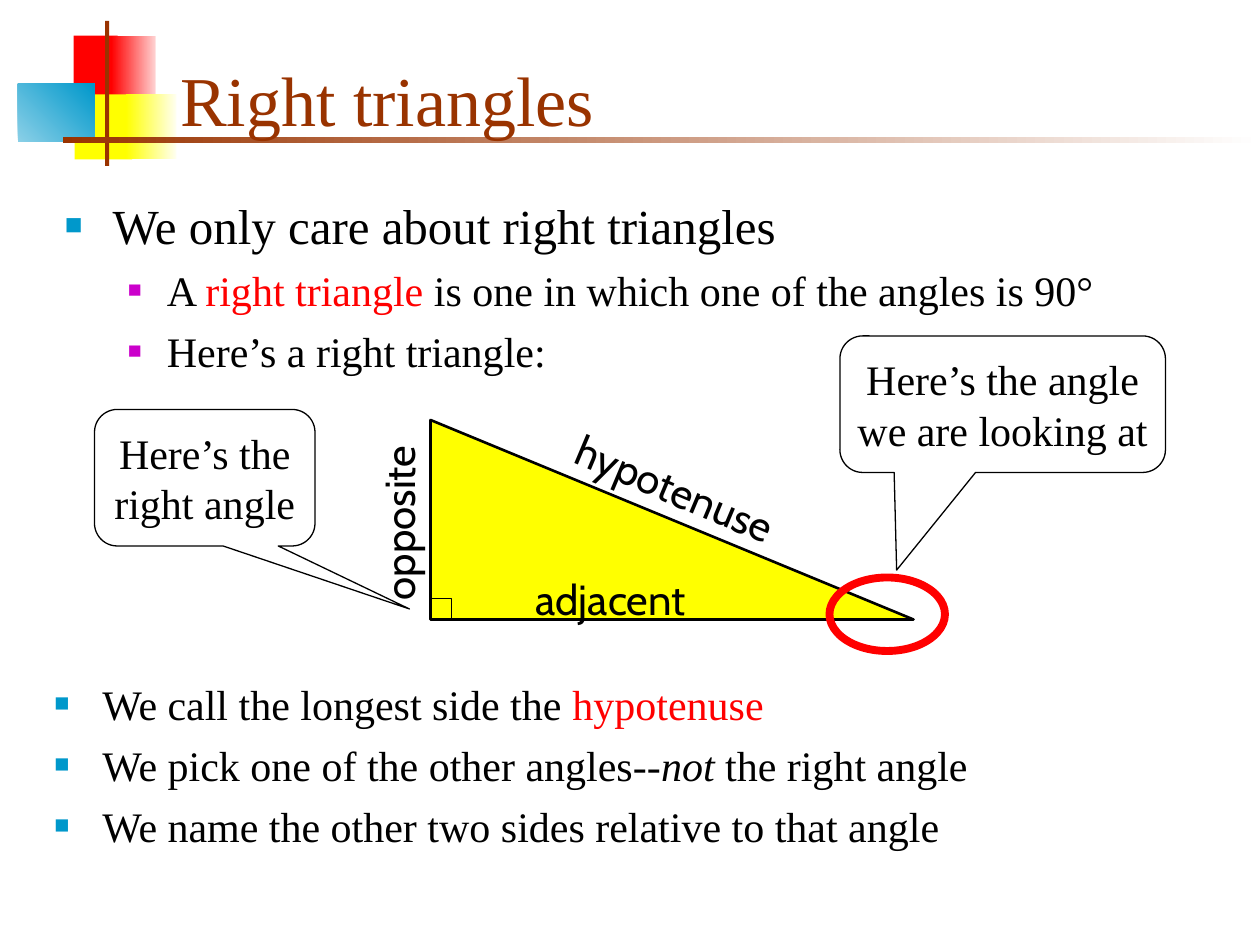
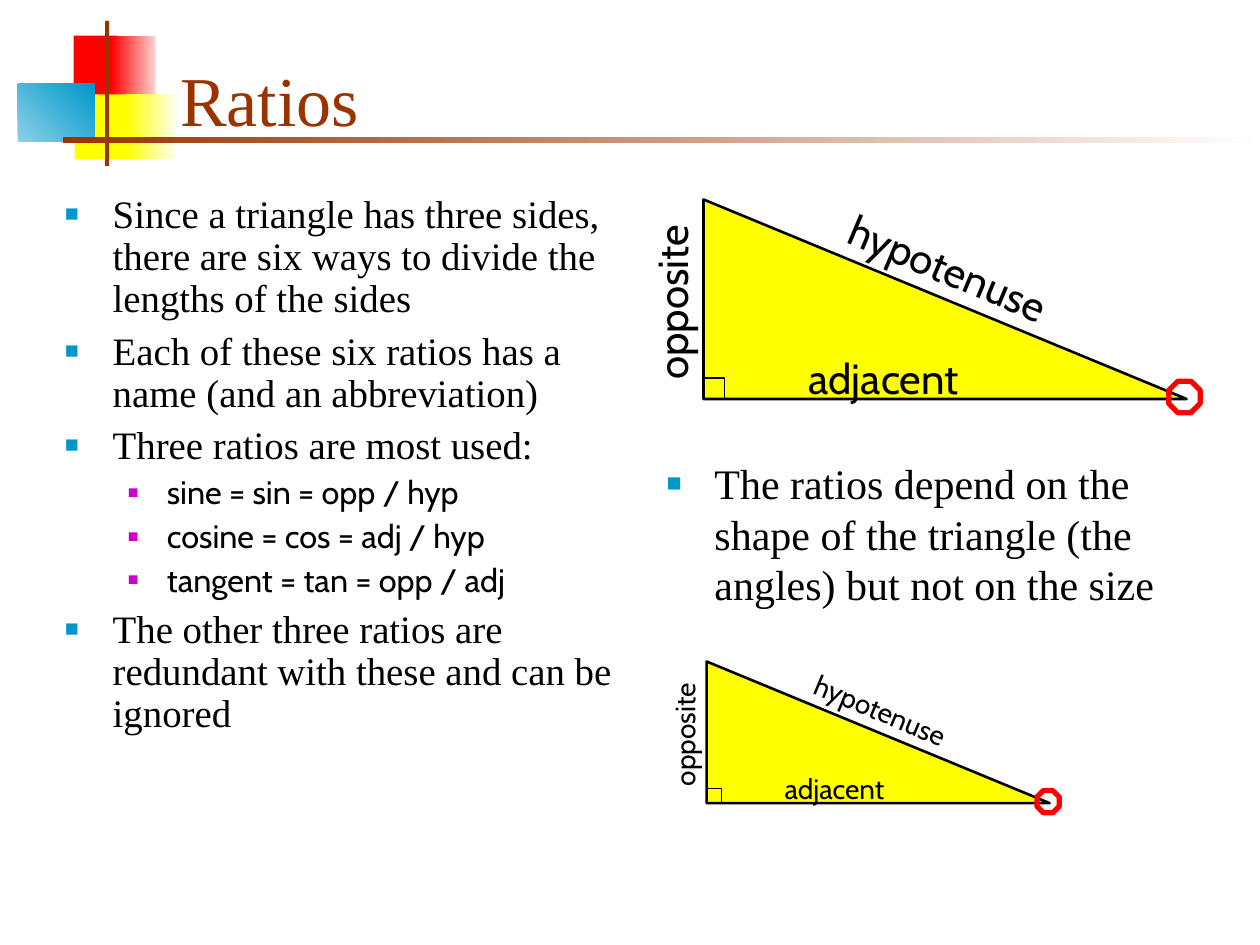
from lxml import etree
from pptx import Presentation
from pptx import util as u
from pptx.dml.color import RGBColor
from pptx.enum import shapes, text
from pptx.oxml.ns import qn

# All lengths are in grid units of 1/12 inch.
UNIT = u.Inches(1) / 12
SLIDE_SIZE = (120, 90)
SERIF, SANS = "Times New Roman", "Cabin"
COLORS = {
    "black": "000000", "white": "FFFFFF", "brown": "993300", "red": "FF0000",
    "pink": "FFD1D1", "yellow": "FFFF00", "cream": "FFFFF0",
    "blue": "0098CB", "sky": "8BD0E7", "magenta": "CB00CB",
}

# box, fill colour(s), gradient angle
EMBLEM = [
    ((7, 3.4, 4.2, 6.2), ("red",), 0),
    ((10.6, 3.4, 4.2, 6.2), ("red", "pink"), 0),
    ((7.1, 9, 5.5, 6.2), ("yellow",), 0),
    ((12, 9, 4.8, 6.2), ("yellow", "cream"), 0),
    ((1.7, 8, 7.3, 5.5), ("sky", "blue"), 45),
    ((10, 2, 0.4, 13.8), ("brown",), 0),
    ((6, 13, 114, 0.6), ("brown", "white"), 0),
]
TITLE_BOX = (16, 3, 102.2, 11)

# Bullet levels: left margin and hanging indent in inches, marker colour and size
LEVELS = [
    {"margin": 0.38, "hang": 0.38, "color": "blue", "percent": 60},
    {"margin": 0.81, "hang": 0.31, "color": "magenta", "percent": 55},
]

# Triangle parts, measured from its top left corner
TRIANGLE_SIZE = (46, 19)
RIGHT_ANGLE = (0, 17, 2, 2)
ANGLE_MARK = (44.3, 17.3, 3, 3)
SIDES = [
    ("hypotenuse", (11.4, 1.1, 23.8, 10.8), 22.9),
    ("adjacent", (7.9, 14, 18.5, 6), 0),
    ("opposite", (-12.4, 6.8, 18.8, 6), 270),
]

# Each bullet: level, size, space before, font, runs of (text, style)
RATIO = (1, 18.5, 5, SANS)
POINT = (0, 22.2, 6, SERIF)
DETAIL = (1, 24, 6, SERIF)
REMARK = (0, 24, 6, SERIF)
SLIDES = [
    {
        "title": "Right triangles",
        "bodies": [
            ((5, 18, 109, 20), 1, [
                ((0, 28, 7, SERIF), [("We only care about right triangles", "")]),
                (DETAIL, [("A ", ""), ("right triangle", "key"),
                          (" is one in which one of the angles is 90°", "")]),
                (DETAIL, [("Here’s a right triangle:", "")]),
            ]),
            ((4, 64, 112.5, 21.5), 1, [
                (REMARK, [("We call the longest side the ", ""), ("hypotenuse", "key")]),
                (REMARK, [("We pick one of the other angles--", ""), ("not", "stress"),
                          (" the right angle", "")]),
                (REMARK, [("We name the other two sides relative to that angle", "")]),
            ]),
        ],
        "triangles": [{"corner": (41, 40), "scale": 1, "size": 24, "marked": False}],
        "circled": [(79, 55, 11, 7)],
        "callouts": [
            ((9, 39, 21, 13), (39, 58), ["Here’s the", "right angle"]),
            ((80, 32, 31, 13), (85.4, 54.3), ["Here’s the angle", "we are looking at"]),
        ],
    },
    {
        "title": "Ratios",
        "bodies": [
            ((5, 18, 55.2, 62.5), 0.9, [
                (POINT, [("Since a triangle has three sides, there are six ways "
                          "to divide the lengths of the sides", "")]),
                (POINT, [("Each of these six ratios has a name (and an abbreviation)", "")]),
                (POINT, [("Three ratios are most used:", "")]),
                (RATIO, [("sine = sin = opp / hyp", "")]),
                (RATIO, [("cosine = cos = adj / hyp", "")]),
                (RATIO, [("tangent = tan = opp / adj", "")]),
                (POINT, [("The other three ratios are redundant with these "
                          "and can be ignored", "")]),
            ]),
            ((62.3, 43, 55.3, 37.4), 1, [
                (REMARK, [("The ratios depend on the shape of the triangle "
                           "(the angles) but not on the size", "")]),
            ]),
        ],
        "triangles": [
            {"corner": (67, 19), "scale": 1, "size": 24, "marked": True},
            {"corner": (67.3, 63), "scale": 0.71, "size": 16, "marked": True},
        ],
        "circled": [],
        "callouts": [],
    },
]


def rgb(name):
    return RGBColor.from_string(COLORS[name])


def grid(box):
    return [round(length * UNIT) for length in box]


def set_all(target, **values):
    for name, value in values.items():
        setattr(target, name, value)


def add_run(paragraph, words, size, font=SERIF, color="black", italic=False):
    run = paragraph.add_run()
    run.text = words
    set_all(run.font, size=u.Pt(size), name=font, italic=italic)
    run.font.color.rgb = rgb(color)


def add_figure(slide, kind, box, fills=(), angle=0, line=None, width=0.75):
    """Draw a preset shape; two fills make a gradient, none leaves it empty."""
    figure = slide.shapes.add_shape(kind, *grid(box))
    figure.shadow.inherit = False
    if len(fills) == 2:
        figure.fill.gradient()
        figure.fill.gradient_angle = angle
        for stop, color in zip(figure.fill.gradient_stops, fills):
            stop.color.rgb = rgb(color)
    elif fills:
        figure.fill.solid()
        figure.fill.fore_color.rgb = rgb(fills[0])
    else:
        figure.fill.background()
    if line:
        figure.line.color.rgb = rgb(line)
        figure.line.width = u.Pt(width)
    else:
        figure.line.fill.background()
    return figure


def add_centred_lines(figure, lines, size, font):
    frame = figure.text_frame
    set_all(frame, word_wrap=False, vertical_anchor=text.MSO_ANCHOR.MIDDLE)
    for index, words in enumerate(lines):
        paragraph = frame.add_paragraph() if index else frame.paragraphs[0]
        paragraph.alignment = text.PP_ALIGN.CENTER
        add_run(paragraph, words, size, font)


def add_frame(slide, title):
    for box, fills, angle in EMBLEM:
        add_figure(slide, shapes.MSO_SHAPE.RECTANGLE, box, fills, angle)
    frame = slide.shapes.add_textbox(*grid(TITLE_BOX)).text_frame
    set_all(frame, word_wrap=True, vertical_anchor=text.MSO_ANCHOR.BOTTOM)
    add_run(frame.paragraphs[0], title, 40, color="brown")


def add_marker(paragraph, level):
    style = LEVELS[level]
    props = paragraph._p.get_or_add_pPr()
    props.set("marL", str(u.Inches(style["margin"])))
    props.set("indent", str(-u.Inches(style["hang"])))
    tint = etree.SubElement(props, qn("a:buClr"))
    etree.SubElement(tint, qn("a:srgbClr"), val=COLORS[style["color"]])
    etree.SubElement(props, qn("a:buSzPct"), val=str(style["percent"] * 1000))
    etree.SubElement(props, qn("a:buFont"), typeface=SERIF)
    etree.SubElement(props, qn("a:buChar"), char="■")


def add_body(slide, box, spacing, bullets):
    frame = slide.shapes.add_textbox(*grid(box)).text_frame
    frame.word_wrap = True
    for index, ((level, size, before, font), runs) in enumerate(bullets):
        paragraph = frame.add_paragraph() if index else frame.paragraphs[0]
        set_all(paragraph, level=level, line_spacing=spacing, space_before=u.Pt(before))
        add_marker(paragraph, level)
        for words, style in runs:
            add_run(paragraph, words, size, font,
                    "red" if style == "key" else "black", style == "stress")


def add_triangle(slide, corner, scale, size, marked):
    def place(box):
        left, top, *extent = [length * scale for length in box]
        return (corner[0] + left, corner[1] + top, *extent)

    kinds = shapes.MSO_SHAPE
    add_figure(slide, kinds.RIGHT_TRIANGLE, place((0, 0, *TRIANGLE_SIZE)),
               ["yellow"], line="black", width=1.5)
    add_figure(slide, kinds.RECTANGLE, place(RIGHT_ANGLE), line="black")
    for side, box, turn in SIDES:
        label = slide.shapes.add_textbox(*grid(place(box)))
        label.rotation = turn
        add_centred_lines(label, [side], size, SANS)
    if marked:
        add_figure(slide, kinds.OCTAGON, place(ANGLE_MARK), line="red", width=3)


def add_callout(slide, box, tip, lines):
    callout = add_figure(slide, shapes.MSO_SHAPE.ROUNDED_RECTANGULAR_CALLOUT,
                         box, line="black")
    for axis in (0, 1):
        callout.adjustments[axis] = (tip[axis] - box[axis]) / box[axis + 2] - 0.5
    add_centred_lines(callout, lines, 24, SERIF)


def main():
    deck = Presentation()
    deck.slide_width, deck.slide_height = grid(SLIDE_SIZE)
    for content in SLIDES:
        slide = deck.slides.add_slide(deck.slide_layouts[6])
        add_frame(slide, content["title"])
        for body in content["bodies"]:
            add_body(slide, *body)
        for triangle in content["triangles"]:
            add_triangle(slide, **triangle)
        for box in content["circled"]:
            add_figure(slide, shapes.MSO_SHAPE.OVAL, box, line="red", width=4.5)
        for callout in content["callouts"]:
            add_callout(slide, *callout)
    deck.save("out.pptx")


if __name__ == "__main__":
    main()
